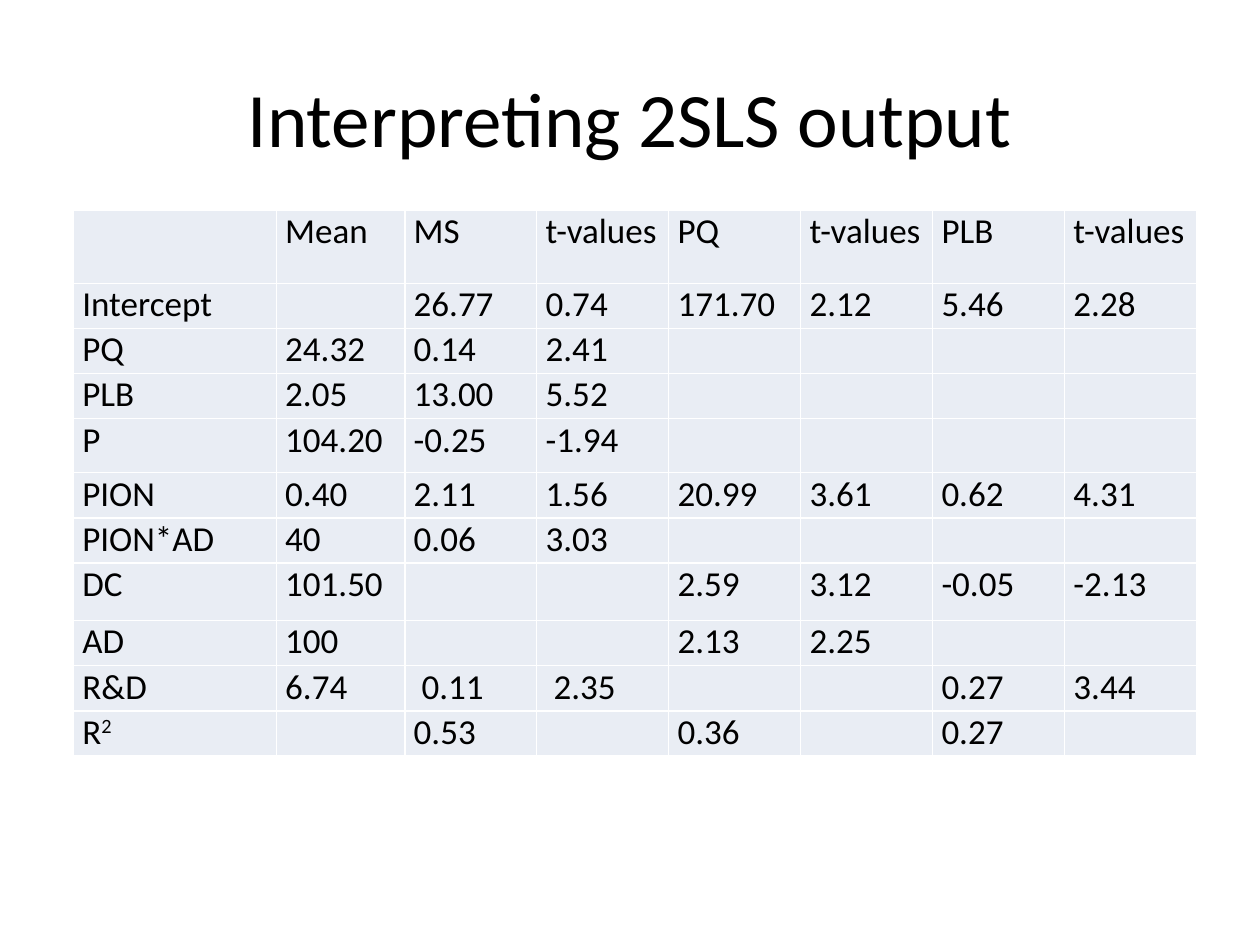
from dataclasses import dataclass

from lxml import etree
from pptx import Presentation
from pptx import util as u
from pptx.dml import color
from pptx.enum import text
from pptx.oxml import ns


@dataclass(frozen=True)
class Theme:
    """Colours, font and type sizes of the slide."""
    font: str = "Calibri"
    ink: str = "000000"
    cell: str = "E9EDF4"
    border: str = "FFFFFF"
    title_size: int = 44
    cell_size: int = 20


@dataclass(frozen=True)
class ResultRow:
    """One table row: its cell texts and its height in centimetres."""
    cells: tuple[str, ...]
    height: float = 0.91


THEME = Theme()
COLUMN_WIDTHS = (4.09, 2.59) + (2.66,) * 6
SUPERSCRIPT_MARK = "^"
ROWS = (
    ResultRow(("", "Mean", "MS", "t-values", "PQ", "t-values", "PLB", "t-values"), 1.47),
    ResultRow(("Intercept", "", "26.77", "0.74", "171.70", "2.12", "5.46", "2.28")),
    ResultRow(("PQ", "24.32", "0.14", "2.41", "", "", "", "")),
    ResultRow(("PLB", "2.05", "13.00", "5.52", "", "", "", "")),
    ResultRow(("P", "104.20", "-0.25", "-1.94", "", "", "", ""), 1.09),
    ResultRow(("PION", "0.40", "2.11", "1.56", "20.99", "3.61", "0.62", "4.31")),
    ResultRow(("PION*AD", "40", "0.06", "3.03", "", "", "", "")),
    ResultRow(("DC", "101.50", "", "", "2.59", "3.12", "-0.05", "-2.13"), 1.16),
    ResultRow(("AD", "100", "", "", "2.13", "2.25", "", "")),
    ResultRow(("R&D", "6.74", "\u00a00.11", "\u00a02.35", "", "", "0.27", "3.44")),
    ResultRow(("R^2", "", "0.53", "", "0.36", "", "0.27", "")),
)


def format_run(run, size: int) -> None:
    """Apply the theme font and ink to a run."""
    run.font.name = THEME.font
    run.font.size = u.Pt(size)
    run.font.color.rgb = color.RGBColor.from_string(THEME.ink)


def add_borders(cell) -> None:
    """Draw a thin line on every side of a cell."""
    properties = cell._tc.get_or_add_tcPr()
    for side in ("lnL", "lnR", "lnT", "lnB"):
        line = etree.SubElement(properties, ns.qn(f"a:{side}"), w=str(u.Pt(1)))
        fill = etree.SubElement(line, ns.qn("a:solidFill"))
        etree.SubElement(fill, ns.qn("a:srgbClr"), val=THEME.border)


def fill_cell(cell, content: str) -> None:
    """Style a cell and write its text, raising what follows the mark."""
    cell.margin_left = cell.margin_right = u.Cm(0.18)
    cell.margin_top = cell.margin_bottom = 0
    add_borders(cell)
    cell.fill.solid()
    cell.fill.fore_color.rgb = color.RGBColor.from_string(THEME.cell)
    base, _, raised = content.partition(SUPERSCRIPT_MARK)
    if not base:
        return
    paragraph = cell.text_frame.paragraphs[0]
    paragraph.text = base
    if raised:
        run = paragraph.add_run()
        run.text = raised
        run._r.get_or_add_rPr().set("baseline", "30000")
    for run in paragraph.runs:
        format_run(run, THEME.cell_size)


def set_title(slide, content: str) -> None:
    """Place and format the title placeholder."""
    title = slide.shapes.title
    title.left, title.top = u.Cm(1.27), u.Cm(0.76)
    title.width, title.height = u.Cm(22.86), u.Cm(3.18)
    title.text_frame.text = content
    title.text_frame.vertical_anchor = text.MSO_ANCHOR.MIDDLE
    paragraph = title.text_frame.paragraphs[0]
    paragraph.alignment = text.PP_ALIGN.CENTER
    format_run(paragraph.runs[0], THEME.title_size)


def add_results(slide) -> None:
    """Add the regression results table."""
    frame = slide.shapes.add_table(
        len(ROWS), len(COLUMN_WIDTHS), u.Cm(1.48), u.Cm(4.24),
        u.Cm(sum(COLUMN_WIDTHS)), u.Cm(sum(row.height for row in ROWS)))
    table = frame.table
    table.first_row = table.horz_banding = False
    for column, width in zip(table.columns, COLUMN_WIDTHS):
        column.width = u.Cm(width)
    for table_row, row in zip(table.rows, ROWS):
        table_row.height = u.Cm(row.height)
        for cell, content in zip(table_row.cells, row.cells):
            fill_cell(cell, content)


def main() -> None:
    """Build and save the presentation."""
    presentation = Presentation()
    presentation.slide_width, presentation.slide_height = u.Cm(25.4), u.Cm(19.05)
    slide = presentation.slides.add_slide(presentation.slide_layouts.get_by_name("Title Only"))
    set_title(slide, "Interpreting 2SLS output")
    add_results(slide)
    presentation.save("out.pptx")


main()
